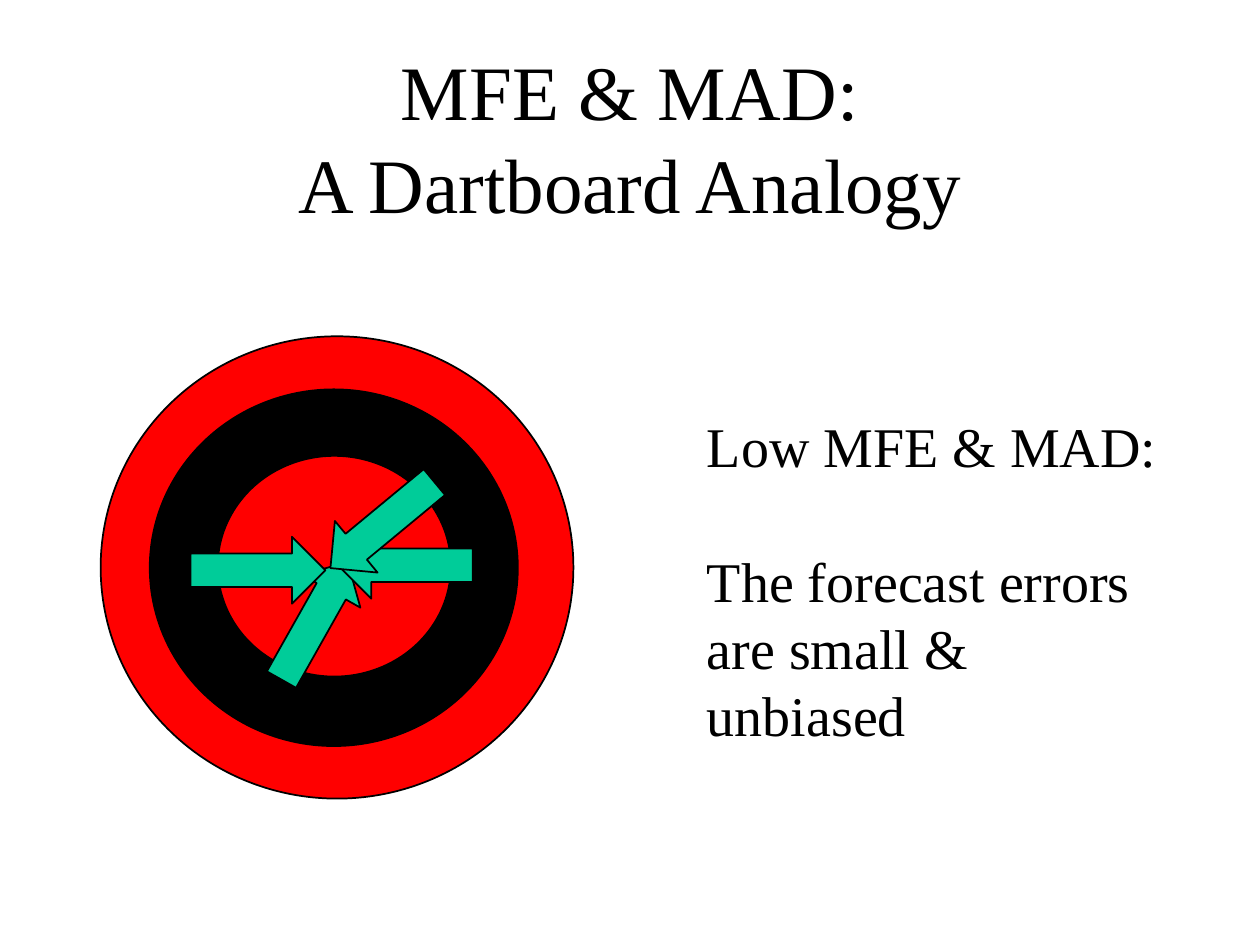
from dataclasses import dataclass

import pptx
import pptx.dml.color
import pptx.enum.shapes
import pptx.enum.text
import pptx.shapes.group
import pptx.slide
import pptx.util

Cm = pptx.util.Cm
Pt = pptx.util.Pt
Shape = pptx.enum.shapes.MSO_SHAPE
Align = pptx.enum.text.PP_ALIGN

COLORS = {"red": "FF0000", "black": "000000", "green": "00CC99"}
FONT = "Times New Roman"
LINE_HEIGHT = 1.2  # line pitch relative to the font size
DART_SIZE = (2.72, 1.35)


@dataclass
class Ring:
    left: float
    top: float
    width: float
    height: float
    color: str


@dataclass
class Dart:
    left: float
    top: float
    rotation: float


@dataclass
class TextBlock:
    left: float
    top: float
    width: float
    height: float
    size: float
    align: Align
    wrap: bool
    sections: list[list[str]]  # a blank line's worth of space parts the sections


RINGS = [
    Ring(2.03, 6.78, 9.53, 9.32, "red"),
    Ring(3.02, 7.85, 7.42, 7.19, "black"),
    Ring(4.39, 9.19, 4.7, 4.45, "red"),
]
DARTS = [
    Dart(4.98, 11.84, 119.4),
    Dart(3.84, 10.82, 180),
    Dart(6.81, 10.72, 0),
    Dart(6.35, 9.91, 320.4),
]
TITLE = TextBlock(1.27, 0.76, 22.86, 3.18, 44, Align.CENTER, True,
                  [["MFE & MAD:", "A Dartboard Analogy"]])
EXPLANATION = TextBlock(14, 8.18, 9.58, 7.04, 32, Align.LEFT, False,
                        [["Low MFE & MAD:"],
                         ["The forecast errors", "are small &", "unbiased"]])


def rgb(name: str) -> pptx.dml.color.RGBColor:
    return pptx.dml.color.RGBColor.from_string(COLORS[name])


def add_outlined(group: pptx.shapes.group.GroupShape, kind: Shape, left: float,
                 top: float, width: float, height: float, color: str,
                 rotation: float = 0) -> None:
    shape = group.shapes.add_shape(kind, Cm(left), Cm(top), Cm(width), Cm(height))
    shape.shadow.inherit = False
    shape.rotation = rotation
    shape.fill.solid()
    shape.fill.fore_color.rgb = rgb(color)
    shape.line.color.rgb = rgb("black")
    shape.line.width = Pt(1)


def add_text(slide: pptx.slide.Slide, block: TextBlock) -> None:
    box = slide.shapes.add_textbox(Cm(block.left), Cm(block.top),
                                   Cm(block.width), Cm(block.height))
    frame = box.text_frame
    frame.word_wrap = block.wrap
    pitch = Pt(block.size * LINE_HEIGHT)
    paragraph = frame.paragraphs[0]
    for section_index, section in enumerate(block.sections):
        for line_index, text in enumerate(section):
            if section_index or line_index:
                paragraph = frame.add_paragraph()
            paragraph.alignment = block.align
            paragraph.line_spacing = pitch
            if section_index and not line_index:
                paragraph.space_before = pitch
            run = paragraph.add_run()
            run.text = text
            run.font.name = FONT
            run.font.size = Pt(block.size)
            run.font.color.rgb = rgb("black")


def main() -> None:
    presentation = pptx.Presentation()
    presentation.slide_width = Cm(25.4)
    presentation.slide_height = Cm(19.05)
    slide = presentation.slides.add_slide(presentation.slide_layouts[6])

    add_text(slide, TITLE)

    # Dartboard with the darts that hit its centre
    dartboard = slide.shapes.add_group_shape()
    for ring in RINGS:
        add_outlined(dartboard, Shape.OVAL, ring.left, ring.top,
                     ring.width, ring.height, ring.color)
    for dart in DARTS:
        add_outlined(dartboard, Shape.LEFT_ARROW, dart.left, dart.top,
                     *DART_SIZE, "green", dart.rotation)

    add_text(slide, EXPLANATION)
    presentation.save("out.pptx")


if __name__ == "__main__":
    main()
